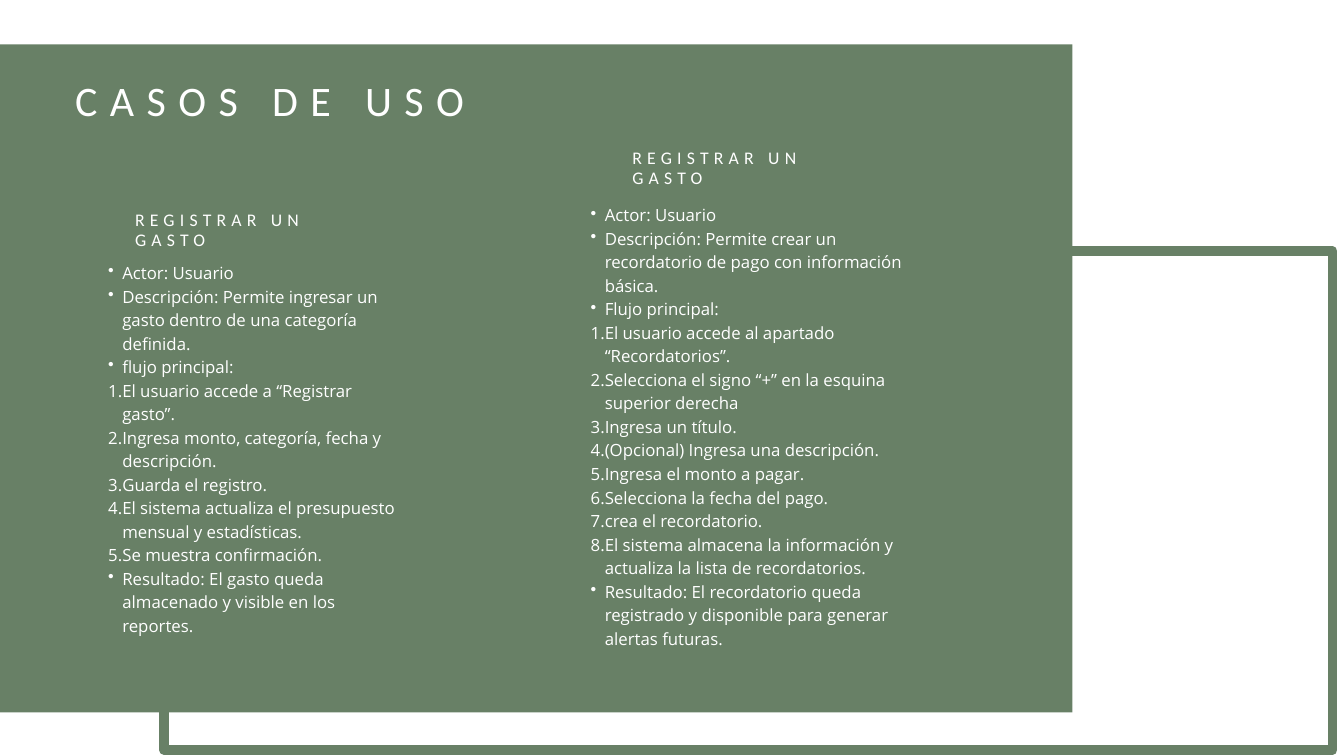
from lxml import etree
from pptx import Presentation, util as u
from pptx.dml.color import RGBColor
from pptx.enum import shapes, text
from pptx.oxml.ns import qn

GREEN, WHITE = "688066", "FFFFFF"
HEAD, BODY = "Calibri", "Open Sans"
COLS, ROWS = 20, 11.25

EXPENSE = [
    ("•", "Actor: Usuario"),
    ("•", "Descripción: Permite ingresar un gasto dentro de una categoría definida."),
    ("•", "flujo principal:"),
    ("1.", "El usuario accede a “Registrar gasto”."),
    ("1.", "Ingresa monto, categoría, fecha y descripción."),
    ("1.", "Guarda el registro."),
    ("1.", "El sistema actualiza el presupuesto mensual y estadísticas."),
    ("1.", "Se muestra confirmación."),
    ("•", "Resultado: El gasto queda almacenado y visible en los reportes."),
]
REMINDER = [
    ("•", "Actor: Usuario"),
    ("•", "Descripción: Permite crear un recordatorio de pago con información básica."),
    ("•", "Flujo principal:"),
    ("1.", "El usuario accede al apartado “Recordatorios”."),
    ("1.", "Selecciona el signo “+” en la esquina superior derecha"),
    ("1.", "Ingresa un título."),
    ("1.", "(Opcional) Ingresa una descripción."),
    ("1.", "Ingresa el monto a pagar."),
    ("1.", "Selecciona la fecha del pago."),
    ("1.", "crea el recordatorio."),
    ("1.", "El sistema almacena la información y actualiza la lista de recordatorios."),
    ("•", "Resultado: El recordatorio queda registrado y disponible para generar alertas futuras."),
]


def color(code):
    return RGBColor.from_string(code)


class Deck:
    """Holds the page, its grid and its text style."""

    def __init__(self):
        self.file = Presentation()
        self.file.slide_width = u.Inches(20)
        self.file.slide_height = u.Inches(11.25)
        self.slide = self.file.slides.add_slide(self.file.slide_layouts[6])

    def place(self, col, row, wide, high):
        """Turn grid columns and rows into lengths."""
        x, y = self.file.slide_width / COLS, self.file.slide_height / ROWS
        return [int(n) for n in (col * x, row * y, wide * x, high * y)]

    def rect(self, *area, fill=None, line=None, weight=0):
        box = self.slide.shapes.add_shape(
            shapes.MSO_SHAPE.RECTANGLE, *self.place(*area))
        box.shadow.inherit = False
        if fill:
            box.fill.solid()
            box.fill.fore_color.rgb = color(fill)
        else:
            box.fill.background()
        if line:
            box.line.color.rgb = color(line)
            box.line.width = u.Pt(weight)
        else:
            box.line.fill.background()

    def block(self, lines, *area, font, size, lead, track=0):
        """Add a text box; lead is the line height, track the letter gap."""
        frame = self.slide.shapes.add_textbox(*self.place(*area)).text_frame
        frame.word_wrap = True
        frame.auto_size = text.MSO_AUTO_SIZE.NONE
        frame.margin_left = frame.margin_right = 0
        frame.margin_top = frame.margin_bottom = 0
        frame.text = "\n".join(lines)
        for para in frame.paragraphs:
            para.line_spacing = u.Pt(lead)
            for run in para.runs:
                run.font.name = font
                run.font.size = u.Pt(size)
                run.font.color.rgb = color(WHITE)
                if track:
                    run._r.get_or_add_rPr().set("spc", str(round(track * 100)))
        return frame

    def title(self, words, *area):
        self.block([words], *area, font=HEAD, size=45, lead=50.4, track=13.3)

    def label(self, words, col, row):
        self.block([words], col, row, 3.43, 0.6,
                   font=HEAD, size=19, lead=21.3, track=5.6)

    def items(self, pairs, *area):
        """Add a list of (mark, words); the mark is a bullet or a number."""
        frame = self.block([words for _, words in pairs], *area,
                           font=BODY, size=18, lead=25.2)
        for para, (mark, _) in zip(frame.paragraphs, pairs):
            para.level = 1
            props = para._p.get_or_add_pPr()
            props.set("marL", str(u.Inches(0.42)))
            props.set("indent", str(u.Inches(-0.21)))
            if mark == "•":
                etree.SubElement(props, qn("a:buChar")).set("char", mark)
            else:
                etree.SubElement(props, qn("a:buAutoNum")).set("type", "arabicPeriod")


def main():
    deck = Deck()
    deck.rect(2.44, 3.74, 17.39, 7.42, line=GREEN, weight=10.5)
    deck.rect(-1.04, 0.66, 17, 9.94, fill=GREEN)
    deck.title("CASOS DE USO", 1.12, 1.16, 12.46, 0.72)
    deck.items(EXPENSE, 1.4, 3.86, 4.65, 4.79)
    for col, row in ((2.01, 3.13), (9.41, 2.2)):
        deck.label("REGISTRAR UN GASTO", col, row)
    deck.items(REMINDER, 8.58, 3, 5.1, 6.51)
    deck.file.save("out.pptx")


if __name__ == "__main__":
    main()
